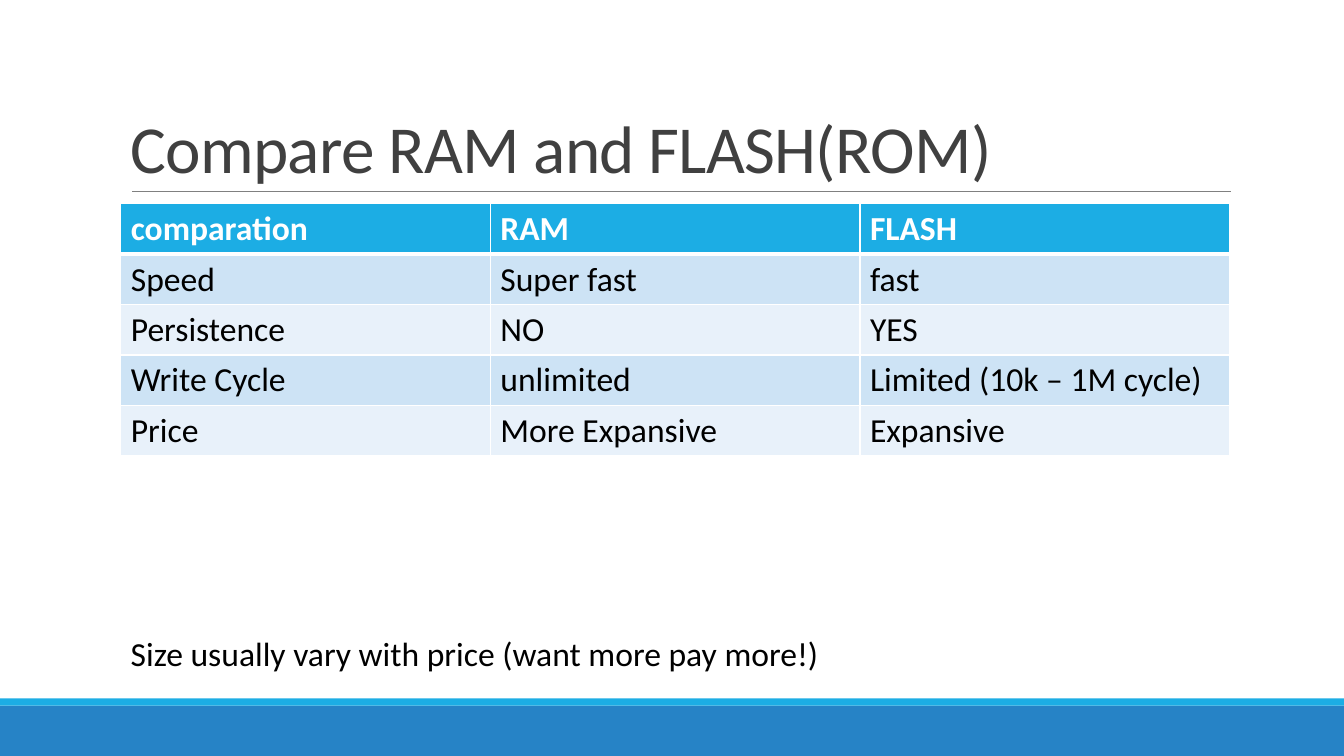
from pptx import Presentation, util as u
from pptx.dml.color import RGBColor
from pptx.enum import shapes, text
from pptx.oxml import parse_xml
from pptx.oxml.ns import nsdecls

PX = 9525
C = {"white": "FFFFFF", "black": "000000", "title": "404040", "rule": "808080",
     "blue": "2683C6", "cyan": "1CADE4", "band": "CDE3F5", "pale": "E8F1FA"}


def px(*lengths):
    return [n * PX for n in lengths]


def write(tf, words, size, color, bold=False):
    p = tf.paragraphs[0]
    r = p.add_run()
    r.text = words
    fmt = {"name": "Calibri", "size": u.Pt(size), "bold": bold}
    for key, value in fmt.items():
        setattr(r.font, key, value)
    r.font.color.rgb = RGBColor.from_string(C[color])
    return p, r


prs = Presentation()
prs.slide_width, prs.slide_height = px(1280, 720)
s = prs.slides.add_slide(prs.slide_layouts[6])

for top, height, color in [(672, 48, "blue"), (665, 7, "cyan")]:
    sp = s.shapes.add_shape(shapes.MSO_SHAPE.RECTANGLE, *px(0, top, 1280, height))
    sp.shadow.inherit = False
    sp.fill.solid()
    sp.fill.fore_color.rgb = RGBColor.from_string(C[color])
    sp.line.fill.background()

rule = s.shapes.add_connector(shapes.MSO_CONNECTOR.STRAIGHT, *px(126, 182, 1172, 182))
rule.line.color.rgb = RGBColor.from_string(C["rule"])
rule.line.width = u.Pt(0.5)
rule._element.spPr.append(parse_xml(f"<a:effectLst {nsdecls('a')}/>"))

tf = s.shapes.add_textbox(*px(115, 30, 1056, 153)).text_frame
tf.word_wrap = True
tf.vertical_anchor = text.MSO_ANCHOR.BOTTOM
p, r = write(tf, "Compare RAM and FLASH(ROM)", 48, "title")
p.line_spacing = 0.85
r._r.get_or_add_rPr().set("spc", "-50")

rows = [
    ("comparation", "RAM", "FLASH"),
    ("Speed", "Super fast", "fast"),
    ("Persistence", "NO", "YES"),
    ("Write Cycle", "unlimited", "Limited (10k – 1M cycle)"),
    ("Price", "More Expansive", "Expansive"),
]
tbl = s.shapes.add_table(len(rows), 3, *px(115, 194, 1056, 240)).table
for i, row in enumerate(rows):
    head = i == 0
    fill = "cyan" if head else "band" if i % 2 else "pale"
    for j, words in enumerate(row):
        cell = tbl.cell(i, j)
        write(cell.text_frame, words, 24, "white" if head else "black", head)
        tcPr = cell._tc.get_or_add_tcPr()
        for side in "LRTB":
            thick = (head and side == "B") or (i == 1 and side == "T")
            tcPr.append(parse_xml(
                f'<a:ln{side} {nsdecls("a")} w="{u.Pt(3 if thick else 1)}"><a:solidFill>'
                f'<a:srgbClr val="{C["white"]}"/></a:solidFill></a:ln{side}>'))
        cell.fill.solid()
        cell.fill.fore_color.rgb = RGBColor.from_string(C[fill])

tf = s.shapes.add_textbox(*px(115, 598, 681, 48)).text_frame
tf.word_wrap = False
tf.auto_size = text.MSO_AUTO_SIZE.SHAPE_TO_FIT_TEXT
write(tf, "Size usually vary with price (want more pay more!)", 24, "black")

prs.save("out.pptx")
